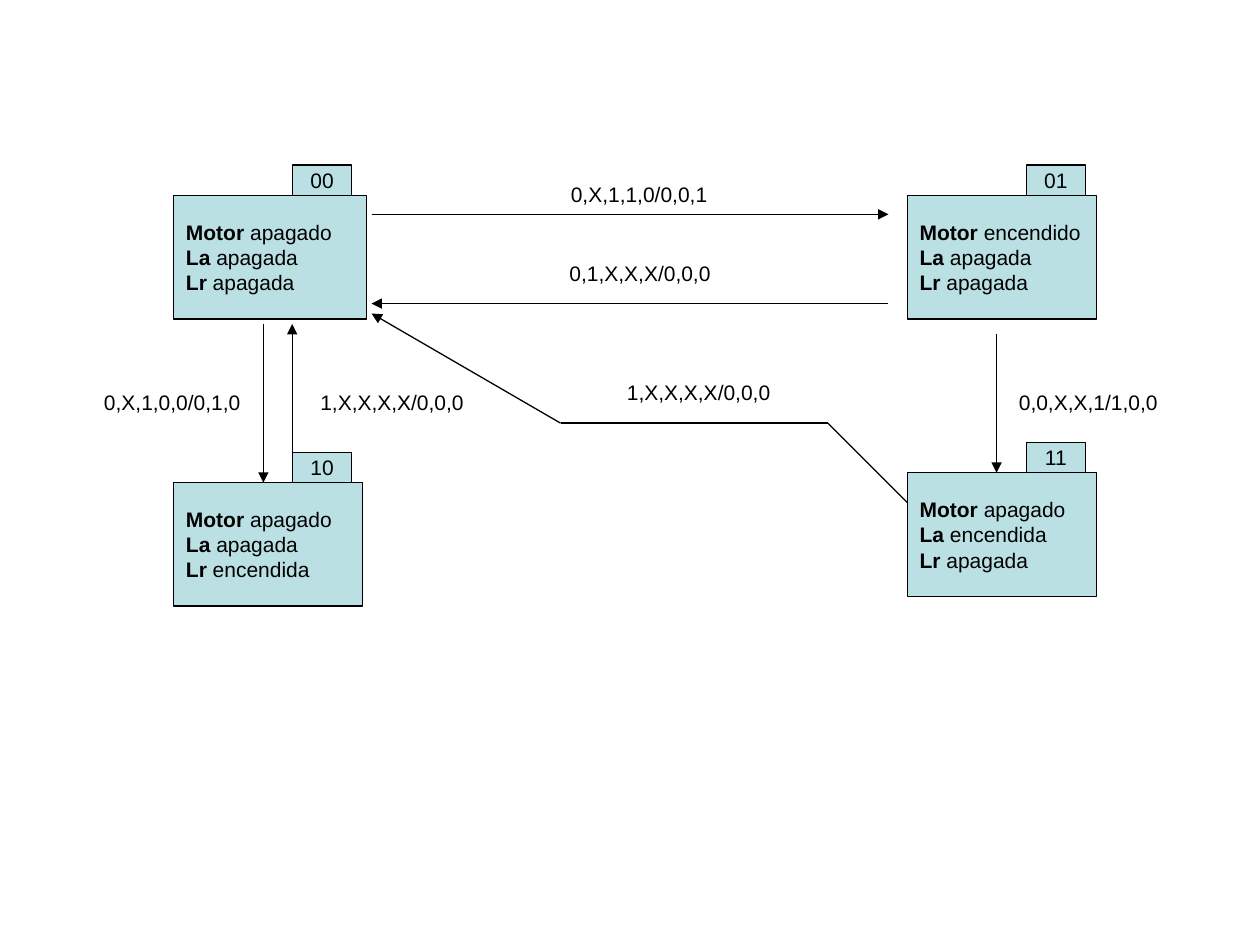
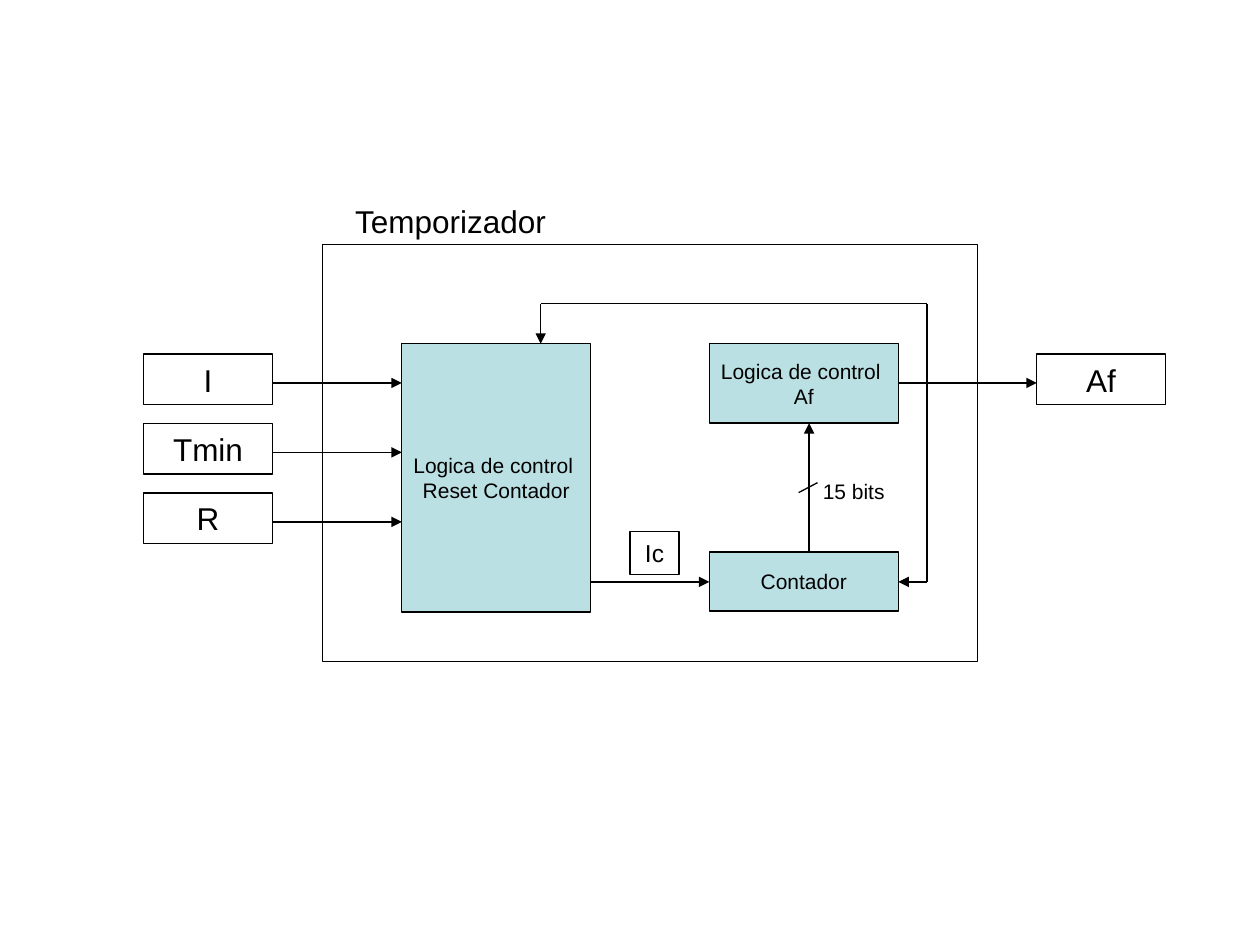
import dataclasses
import itertools

import lxml.etree
import pptx
import pptx.dml.color
import pptx.enum.shapes
import pptx.enum.text
import pptx.oxml.ns
import pptx.shapes.base
import pptx.slide
import pptx.util

Cm = pptx.util.Cm
ALIGN = pptx.enum.text.PP_ALIGN
FONT = "Arial"
INK = "000000"
STATE_FILL = "BBE0E3"
LINE_WIDTH = 0.75
BODY_SIZE = 12
PIN_SIZE = 18

Point = tuple[float, float]


@dataclasses.dataclass(frozen=True)
class Box:
    left: float
    top: float
    width: float
    height: float
    text: str = ""
    fill: str | None = None
    size: int = BODY_SIZE
    wrap: bool = False


@dataclasses.dataclass(frozen=True)
class State:
    code: str
    left: float
    top: float
    text: str
    width: float = 3.81


@dataclasses.dataclass(frozen=True)
class Label:
    left: float
    top: float
    width: float
    text: str
    align: ALIGN = ALIGN.CENTER
    size: int = BODY_SIZE
    height: float = 0.76


@dataclasses.dataclass(frozen=True)
class Path:
    points: tuple[Point, ...]
    arrow: bool = True


STATE_HEIGHT = 2.49
TAB_OFFSET, TAB_WIDTH, TAB_HEIGHT = 2.4, 1.19, 0.61
LEFT_COLUMN, RIGHT_COLUMN = 3.5, 18.29
STATES = (
    State("00", LEFT_COLUMN, 3.94, "Motor apagado\nLa apagada\nLr apagada", 3.89),
    State("01", RIGHT_COLUMN, 3.94, "Motor encendido\nLa apagada\nLr apagada"),
    State("11", RIGHT_COLUMN, 9.53, "Motor apagado\nLa encendida\nLr apagada"),
    State("10", LEFT_COLUMN, 9.73, "Motor apagado\nLa apagada\nLr encendida"),
)
TRANSITIONS = (
    Path(((7.49, 4.32), (17.91, 4.32))),
    Path(((17.91, 6.12), (7.49, 6.12))),
    Path(((20.09, 6.73), (20.09, 9.53))),
    Path(((18.29, 10.13), (16.69, 8.53), (11.3, 8.53), (7.49, 6.32))),
    Path(((5.31, 6.53), (5.31, 9.73))),
    Path(((5.89, 9.73), (5.89, 6.53))),
)
TRANSITION_LABELS = (
    Label(10.69, 3.53, 4.39, "0,X,1,1,0/0,0,1"),
    Label(11.1, 5.13, 3.61, "0,1,X,X,X/0,0,0"),
    Label(12.09, 7.52, 3.99, "1,X,X,X,X/0,0,0"),
    Label(1.7, 7.72, 3.4, "0,X,1,0,0/0,1,0", ALIGN.RIGHT),
    Label(6.1, 7.72, 3.61, "1,X,X,X,X/0,0,0"),
    Label(20.29, 7.72, 3.81, "0,0,X,X,1/1,0,0", ALIGN.LEFT),
)

PIN_LEFT, PIN_TOP, PIN_PITCH = 2.9, 7.14, 1.4
PIN_WIDTH, PIN_HEIGHT, PIN_WIRE = 2.59, 1.02, 0.58
INPUTS = ("I", "Tmin", "R")
RESET_LEFT, OUTPUT_LEFT = 8.1, 20.9
BLOCKS = (
    Box(6.5, 4.93, 13.21, 8.41),
    Box(RESET_LEFT, 6.93, 3.81, 5.41, "Logica de control \nReset Contador", STATE_FILL),
    Box(14.3, 11.13, 3.81, 1.19, "Contador", STATE_FILL),
    Box(14.3, 6.93, 3.81, 1.6, "Logica de control \nAf", STATE_FILL),
    Box(12.7, 10.72, 0.99, 0.86, "Ic", size=14, wrap=True),
)
WIRES = (
    Path(((11.91, 11.73), (14.3, 11.73))),
    Path(((16.48, 9.73), (16.1, 9.93)), arrow=False),
    Path(((16.31, 11.13), (16.31, 8.53))),
    Path(((18.11, 7.72), (OUTPUT_LEFT, 7.72))),
    Path(((18.69, 7.72), (18.69, 6.12), (10.9, 6.12), (10.9, 6.93))),
    Path(((18.69, 7.72), (18.69, 11.73), (18.11, 11.73))),
)
TIMER_LABELS = (
    Label(6.91, 3.94, 6.2, "Temporizador", ALIGN.LEFT, PIN_SIZE, 1.02),
    Label(16.31, 9.53, 1.8, "15 bits"),
)


def color(value: str) -> pptx.dml.color.RGBColor:
    return pptx.dml.color.RGBColor.from_string(value)


def write_text(
    shape: pptx.shapes.base.BaseShape,
    text: str,
    *,
    size: int = BODY_SIZE,
    align: ALIGN = ALIGN.CENTER,
    wrap: bool = True,
    bold_names: bool = False,
) -> None:
    frame = shape.text_frame
    frame.word_wrap = wrap
    frame.vertical_anchor = pptx.enum.text.MSO_ANCHOR.MIDDLE
    for index, line in enumerate(text.split("\n")):
        para = frame.paragraphs[0] if index == 0 else frame.add_paragraph()
        para.alignment = align
        name, space, rest = line.partition(" ")
        parts = ((name, True), (space + rest, False)) if bold_names else ((line, False),)
        for content, bold in parts:
            span = para.add_run()
            span.text = content
            span.font.name = FONT
            span.font.size = pptx.util.Pt(size)
            span.font.bold = bold
            span.font.color.rgb = color(INK)


def add_box(
    page: pptx.slide.Slide,
    box: Box,
    align: ALIGN = ALIGN.CENTER,
    bold_names: bool = False,
) -> None:
    shape = page.shapes.add_shape(
        pptx.enum.shapes.MSO_SHAPE.RECTANGLE,
        Cm(box.left), Cm(box.top), Cm(box.width), Cm(box.height),
    )
    shape.shadow.inherit = False
    if box.fill:
        shape.fill.solid()
        shape.fill.fore_color.rgb = color(box.fill)
    else:
        shape.fill.background()
    shape.line.color.rgb = color(INK)
    shape.line.width = pptx.util.Pt(LINE_WIDTH)
    if box.text:
        write_text(shape, box.text, size=box.size, align=align,
                   wrap=box.wrap, bold_names=bold_names)


def add_state(page: pptx.slide.Slide, state: State) -> None:
    body = Box(state.left, state.top, state.width, STATE_HEIGHT, state.text, STATE_FILL)
    tab = Box(state.left + TAB_OFFSET, state.top - TAB_HEIGHT,
              TAB_WIDTH, TAB_HEIGHT, state.code, STATE_FILL)
    add_box(page, body, ALIGN.LEFT, bold_names=True)
    add_box(page, tab)


def add_label(page: pptx.slide.Slide, label: Label) -> None:
    shape = page.shapes.add_textbox(
        Cm(label.left), Cm(label.top), Cm(label.width), Cm(label.height)
    )
    write_text(shape, label.text, size=label.size, align=label.align)


def add_path(page: pptx.slide.Slide, route: Path) -> None:
    for start, end in itertools.pairwise(route.points):
        connector = page.shapes.add_connector(
            pptx.enum.shapes.MSO_CONNECTOR.STRAIGHT,
            Cm(start[0]), Cm(start[1]), Cm(end[0]), Cm(end[1]),
        )
        connector.line.color.rgb = color(INK)
        connector.line.width = pptx.util.Pt(LINE_WIDTH)
        if route.arrow and end == route.points[-1]:
            outline = connector.line._get_or_add_ln()
            lxml.etree.SubElement(outline, pptx.oxml.ns.qn("a:tailEnd"), type="triangle")
        lxml.etree.SubElement(connector._element.spPr, pptx.oxml.ns.qn("a:effectLst"))


def add_pin(page: pptx.slide.Slide, text: str, left: float, top: float) -> None:
    add_box(page, Box(left, top, PIN_WIDTH, PIN_HEIGHT, text, size=PIN_SIZE, wrap=True))


def build_state_diagram(page: pptx.slide.Slide) -> None:
    for state in STATES:
        add_state(page, state)
    for transition in TRANSITIONS:
        add_path(page, transition)
    for label in TRANSITION_LABELS:
        add_label(page, label)


def build_timer_diagram(page: pptx.slide.Slide) -> None:
    for block in BLOCKS:
        add_box(page, block)
    for row, name in enumerate(INPUTS):
        top = PIN_TOP + row * PIN_PITCH
        add_pin(page, name, PIN_LEFT, top)
        wire_level = top + PIN_WIRE
        add_path(page, Path(((PIN_LEFT + PIN_WIDTH, wire_level), (RESET_LEFT, wire_level))))
    add_pin(page, "Af", OUTPUT_LEFT, PIN_TOP)
    for wire in WIRES:
        add_path(page, wire)
    for label in TIMER_LABELS:
        add_label(page, label)


def main() -> None:
    deck = pptx.Presentation()
    deck.slide_width, deck.slide_height = Cm(25.4), Cm(19.05)
    blank = deck.slide_layouts.get_by_name("Blank")
    for build in (build_state_diagram, build_timer_diagram):
        build(deck.slides.add_slide(blank))
    deck.save("out.pptx")


if __name__ == "__main__":
    main()
